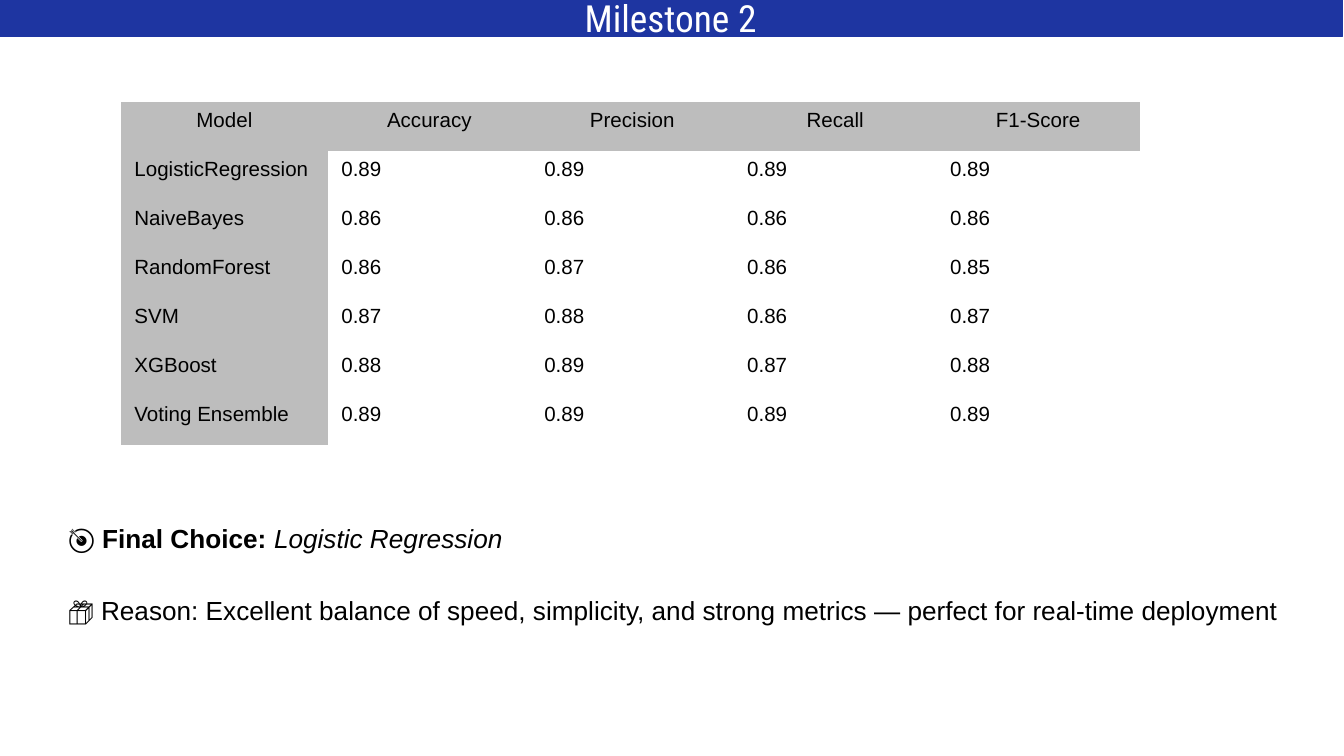
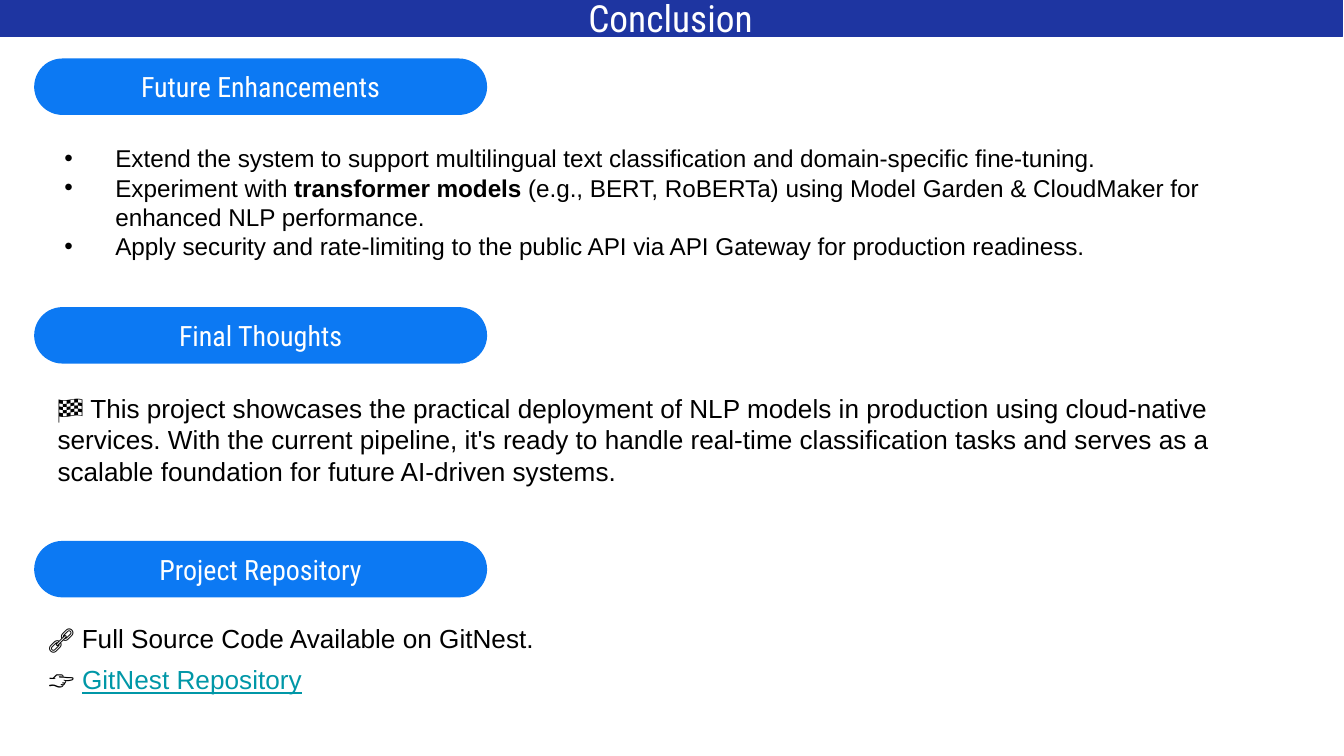
from lxml import etree
from pptx import Presentation
from pptx.dml.color import RGBColor
from pptx.enum.shapes import MSO_SHAPE
from pptx.enum.text import MSO_ANCHOR, MSO_AUTO_SIZE, PP_ALIGN
from pptx.oxml.ns import qn
from pptx.util import Inches, Pt

PILL = MSO_SHAPE.ROUNDED_RECTANGLE
MIDDLE = MSO_ANCHOR.MIDDLE
CENTER, LEFT = PP_ALIGN.CENTER, PP_ALIGN.LEFT
NO_FIT, GROW = MSO_AUTO_SIZE.NONE, MSO_AUTO_SIZE.SHAPE_TO_FIT_TEXT

NAVY, BLUE, GREY, TEAL = "1E35A1", "0C79F3", "BDBDBD", "0097A7"
BLACK, WHITE = "000000", "FFFFFF"
HEADING_FONT, BODY_FONT = "Roboto Condensed", "Arial"
PLAIN_TABLE_STYLE = "{2D5ABB26-0587-4C30-8999-92F81FD0307C}"
BULLET_INDENT = Inches(0.38)

TITLE = {"name": HEADING_FONT, "size": Pt(20), "color": WHITE}
PILL_TEXT = {"name": HEADING_FONT, "size": Pt(15), "color": WHITE}
BODY = {"name": BODY_FONT, "size": Pt(14), "color": BLACK}
BULLET = {**BODY, "size": Pt(13)}
CELL = {**BODY, "size": Pt(11)}

METRICS = [
    ("Model", "Accuracy", "Precision", "Recall", "F1-Score"),
    ("LogisticRegression", "0.89", "0.89", "0.89", "0.89"),
    ("NaiveBayes", "0.86", "0.86", "0.86", "0.86"),
    ("RandomForest", "0.86", "0.87", "0.86", "0.85"),
    ("SVM", "0.87", "0.88", "0.86", "0.87"),
    ("XGBoost", "0.88", "0.89", "0.87", "0.88"),
    ("Voting Ensemble", "0.89", "0.89", "0.89", "0.89"),
]
SECTIONS = [
    ("Future Enhancements", 0.44),
    ("Final Thoughts", 2.29),
    ("Project Repository", 4.03),
]
ENHANCEMENTS = [
    ["Extend the system to support multilingual text classification and "
     "domain-specific fine-tuning."],
    ["Experiment with ", ("transformer models", {"bold": True}),
     " (e.g., BERT, RoBERTa) using Model Garden & CloudMaker for "
     "enhanced NLP performance."],
    ["Apply security and rate-limiting to the public API via API Gateway "
     "for production readiness."],
]
FINAL_THOUGHTS = (
    "🏁 This project showcases the practical deployment of NLP models in "
    "production using cloud-native services. With the current pipeline, it's "
    "ready to handle real-time classification tasks and serves as a scalable "
    "foundation for future AI-driven systems."
)


def rgb(value):
    return RGBColor.from_string(value)


def add_runs(paragraph, parts, base):
    """Each part is a string, or a (string, format changes) pair."""
    for part in parts:
        text, changes = (part, {}) if isinstance(part, str) else part
        run = paragraph.add_run()
        run.text = text
        for key, value in {**base, **changes}.items():
            if key == "color":
                run.font.color.rgb = rgb(value)
            else:
                setattr(run.font, key, value)


def style_block(shape, color, text, text_format):
    """Solid shape with one centred line of text."""
    shape.shadow.inherit = False
    shape.fill.solid()
    shape.fill.fore_color.rgb = rgb(color)
    shape.line.color.rgb = rgb(color)
    shape.line.width = Pt(0.75)
    frame = shape.text_frame
    settings = {"word_wrap": True, "auto_size": NO_FIT, "vertical_anchor": MIDDLE}
    settings.update({f"margin_{side}": Inches(0.1)
                     for side in ("left", "top", "right", "bottom")})
    for key, value in settings.items():
        setattr(frame, key, value)
    paragraph = frame.paragraphs[0]
    paragraph.alignment = CENTER
    add_runs(paragraph, [text], text_format)


def add_titled_slide(presentation, text):
    slide = presentation.slides.add_slide(presentation.slide_layouts[5])
    title = slide.shapes.title
    title.left, title.top = Inches(-0.01), Inches(-0.01)
    title.width, title.height = Inches(10), Inches(0.28)
    style_block(title, NAVY, text, TITLE)
    return slide


def add_pill(slide, text, top):
    pill = slide.shapes.add_shape(
        PILL, Inches(0.26), Inches(top), Inches(3.36), Inches(0.41))
    pill.adjustments[0] = 0.5
    style_block(pill, BLUE, text, PILL_TEXT)


def add_bullet(paragraph):
    properties = paragraph._p.get_or_add_pPr()
    properties.set("marL", str(BULLET_INDENT))
    properties.set("indent", str(-BULLET_INDENT))
    color = etree.SubElement(properties, qn("a:buClr"))
    etree.SubElement(color, qn("a:srgbClr"), val=BLACK)
    etree.SubElement(properties, qn("a:buFont"), typeface=BODY_FONT)
    etree.SubElement(properties, qn("a:buChar"), char="•")


def add_text(slide, box, paragraphs, text_format=BODY, bulleted=False):
    shape = slide.shapes.add_textbox(*map(Inches, box))
    frame = shape.text_frame
    frame.word_wrap = True
    frame.auto_size = GROW
    for index, parts in enumerate(paragraphs):
        paragraph = frame.add_paragraph() if index else frame.paragraphs[0]
        if bulleted:
            add_bullet(paragraph)
        add_runs(paragraph, parts, text_format)


def add_metrics_table(slide):
    widths = [1.54] + [1.51] * 4
    table = slide.shapes.add_table(
        len(METRICS), len(widths), Inches(0.9), Inches(0.76),
        Inches(sum(widths)), Inches(2.55)).table
    table.first_row = table.horz_banding = False
    table._tbl.tblPr.find(qn("a:tableStyleId")).text = PLAIN_TABLE_STYLE
    for column, width in zip(table.columns, widths):
        column.width = Inches(width)
    for row_index, values in enumerate(METRICS):
        for column_index, value in enumerate(values):
            cell = table.cell(row_index, column_index)
            if row_index == 0 or column_index == 0:
                cell.fill.solid()
                cell.fill.fore_color.rgb = rgb(GREY)
            else:
                cell.fill.background()
            paragraph = cell.text_frame.paragraphs[0]
            paragraph.alignment = LEFT if row_index else CENTER
            add_runs(paragraph, [value], CELL)


def build_milestone(presentation):
    slide = add_titled_slide(presentation, "Milestone 2")
    add_metrics_table(slide)
    add_text(slide, (0.41, 3.84, 5.01, 0.34), [[
        "🎯 ", ("Final Choice: ", {"bold": True}),
        ("Logistic Regression", {"italic": True})]])
    add_text(slide, (0.41, 4.37, 9.27, 0.34), [[
        "📦 Reason: Excellent balance of speed, simplicity, and strong "
        "metrics — perfect for real-time deployment"]])


def build_conclusion(presentation):
    slide = add_titled_slide(presentation, "Conclusion")
    for text, top in SECTIONS:
        add_pill(slide, text, top)
    add_text(slide, (0.38, 1.02, 9.22, 1.19), ENHANCEMENTS, BULLET, bulleted=True)
    add_text(slide, (0.33, 2.87, 9.34, 0.81), [[FINAL_THOUGHTS]])
    add_text(slide, (0.26, 4.58, 9.34, 0.34),
             [["🔗 Full Source Code Available on GitNest."]])
    add_text(slide, (0.26, 4.89, 5.01, 0.34), [[
        "👉 ", ("GitNest Repository", {"color": TEAL, "underline": True})]])


def main():
    presentation = Presentation()
    # Widescreen, 16:9
    presentation.slide_width = Inches(10)
    presentation.slide_height = Inches(10) * 9 // 16
    build_milestone(presentation)
    build_conclusion(presentation)
    presentation.save("out.pptx")


if __name__ == "__main__":
    main()
